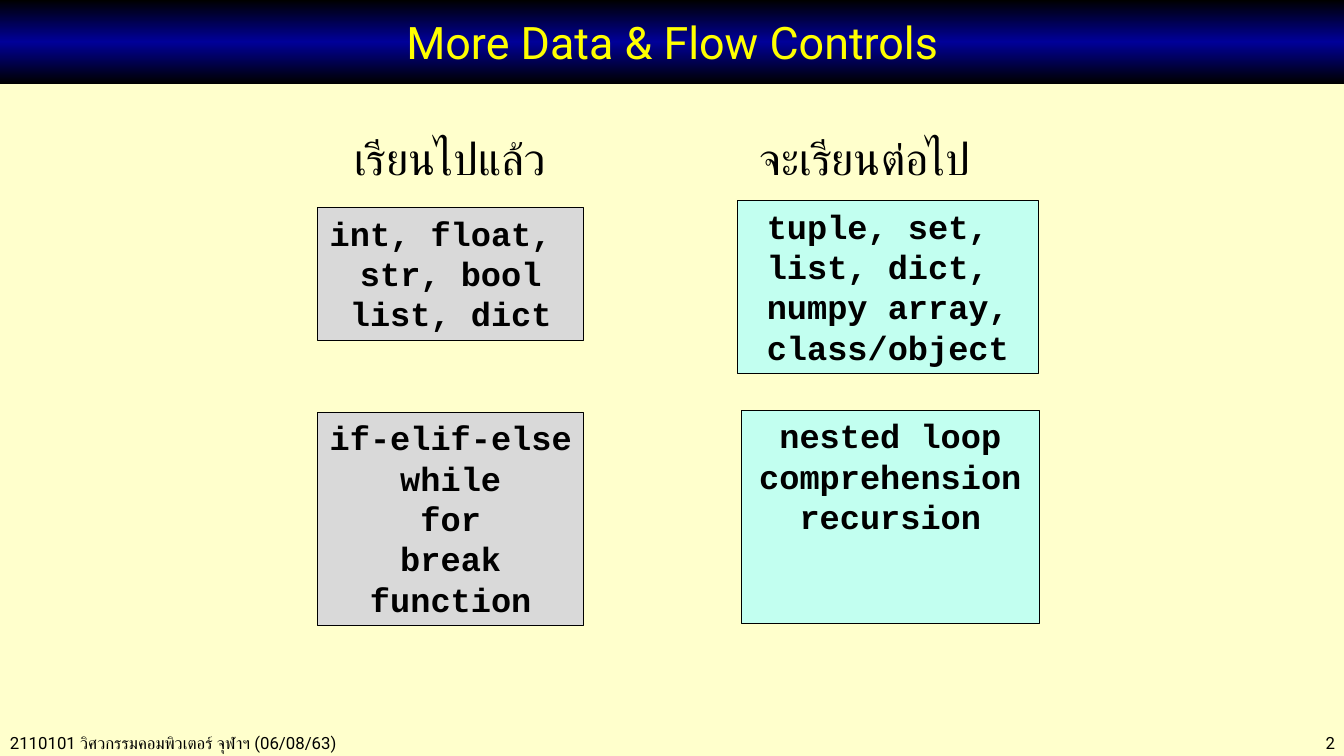
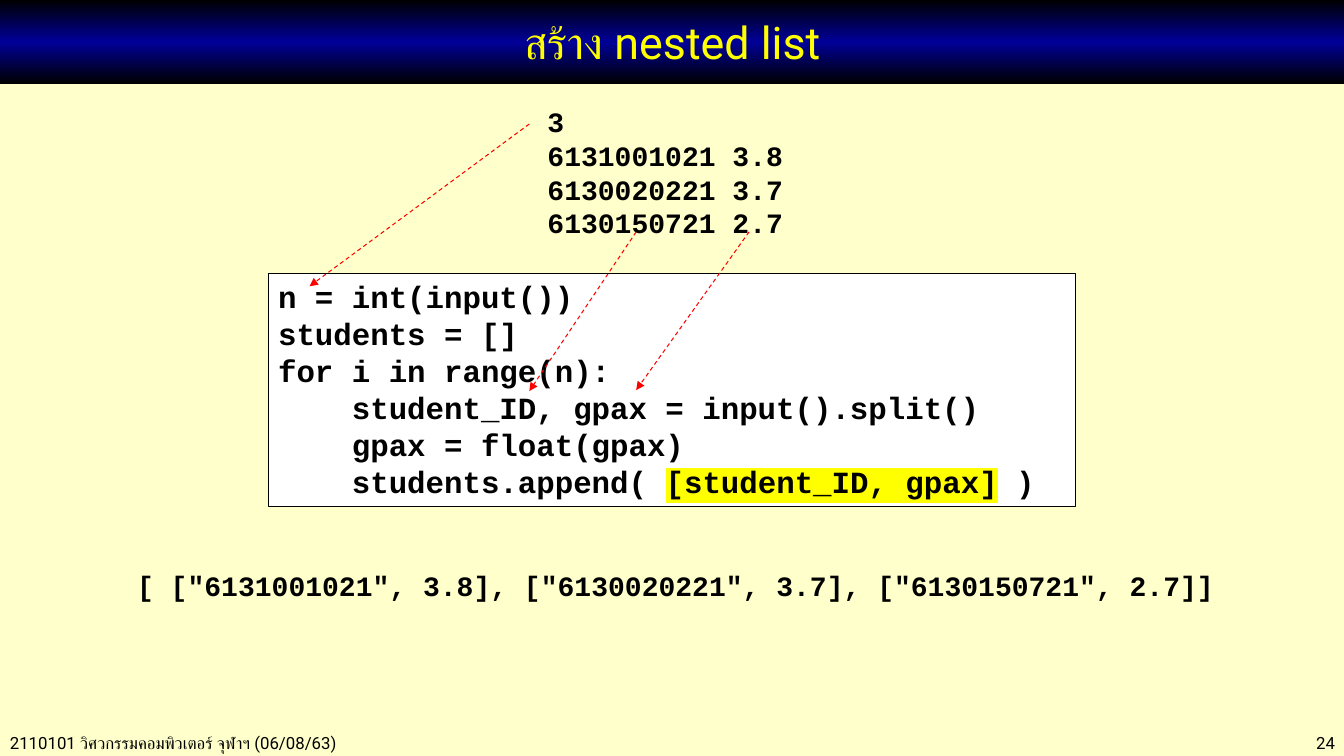
from copy import deepcopy

from lxml import etree
from pptx import Presentation
from pptx import util as u
from pptx.dml import color as dml_color
from pptx.enum import dml, shapes, text
from pptx.oxml import ns

BLACK, WHITE, RED, YELLOW = "000000", "FFFFFF", "FF0000", "FFFF00"
CREAM, NAVY, GRAY, MINT = "FFFFCC", "000099", "D9D9D9", "C2FFF0"
COURSE = "2110101 วิศวกรรมคอมพิวเตอร์ จุฬาฯ (06/08/63)"
TITLE_ONLY = 5
LEFT, CENTER, RIGHT = text.PP_ALIGN.LEFT, text.PP_ALIGN.CENTER, text.PP_ALIGN.RIGHT

TITLE = {"name": "Roboto", "size": u.Pt(32), "bold": False}
FOOTER = {"name": "Roboto", "size": u.Pt(12), "bold": False}
HEADING = {"name": "Courier New", "size": u.Pt(32), "bold": False}
TOPIC = {"name": "Courier New", "size": u.Pt(24), "bold": True}
CODE = {**TOPIC, "size": u.Pt(22)}
DATA = {**TOPIC, "size": u.Pt(20)}


def rgb(value):
    """Turn a hex string into a colour."""
    return dml_color.RGBColor.from_string(value)


def apply_format(target, values):
    """Set every named attribute on the target."""
    for name, value in values.items():
        setattr(target, name, value)


def place(shape, box):
    """Move and size a shape from left, top, width, height in inches."""
    apply_format(shape, dict(zip(("left", "top", "width", "height"), map(u.Inches, box))))


def write(shape, lines, font, align=LEFT, color=BLACK, **frame_format):
    """Fill a shape with one paragraph per line."""
    frame = shape.text_frame
    values = {"word_wrap": True, "auto_size": text.MSO_AUTO_SIZE.NONE,
              "vertical_anchor": text.MSO_ANCHOR.TOP, **frame_format}
    apply_format(frame, values)
    frame.text = "\n".join(lines)
    for paragraph in frame.paragraphs:
        paragraph.alignment = align
        for run in paragraph.runs:
            style_run(run, font, color)


def style_run(run, font, color=BLACK):
    """Give a run its font and colour."""
    apply_format(run.font, font)
    run.font.color.rgb = rgb(color)


def highlight(run, color):
    """Mark a run with a background colour."""
    fill = run.font._element.find(ns.qn("a:solidFill"))
    mark = etree.Element(ns.qn("a:highlight"))
    etree.SubElement(mark, ns.qn("a:srgbClr"), val=color)
    fill.addnext(mark)


def add_text(slide, box, lines, font, align=LEFT, **frame_format):
    """Add a plain text box."""
    shape = slide.shapes.add_textbox(*map(u.Inches, box))
    write(shape, lines, font, align, **frame_format)


def add_panel(slide, box, lines, fill, font, align=LEFT):
    """Add a filled rectangle with a thin black outline."""
    shape = slide.shapes.add_shape(shapes.MSO_SHAPE.RECTANGLE, *map(u.Inches, box))
    shape.shadow.inherit = False
    shape.fill.solid()
    shape.fill.fore_color.rgb = rgb(fill)
    shape.line.color.rgb = rgb(BLACK)
    shape.line.width = u.Pt(0.75)
    write(shape, lines, font, align)
    return shape


def add_arrow(slide, start, end):
    """Add a dashed red arrow."""
    points = map(u.Inches, (*start, *end))
    arrow = slide.shapes.add_connector(shapes.MSO_CONNECTOR.STRAIGHT, *points)
    arrow.line.color.rgb = rgb(RED)
    apply_format(arrow.line, {"width": u.Pt(0.75), "dash_style": dml.MSO_LINE.DASH})
    etree.SubElement(arrow.line._get_or_add_ln(), ns.qn("a:tailEnd"), type="triangle")
    etree.SubElement(arrow._element.spPr, ns.qn("a:effectLst"))


def fill_band(shape):
    """Fill a shape with the vertical black and navy gradient."""
    shape.fill.gradient()
    shape.fill.gradient_angle = 270
    first = shape._element.spPr.find(".//" + ns.qn("a:gs"))
    first.addnext(deepcopy(first))
    stops = zip(shape.fill.gradient_stops, (BLACK, NAVY, BLACK), (0, 0.5, 1))
    for stop, color, position in stops:
        stop.color.rgb = rgb(color)
        stop.position = position


def add_slide(presentation, title, number):
    """Add a slide with its title band and footer."""
    slide = presentation.slides.add_slide(presentation.slide_layouts[TITLE_ONLY])
    band = slide.shapes.title
    place(band, (0, 0, 13.34, 0.83))
    fill_band(band)
    write(band, [title], TITLE, CENTER, YELLOW, vertical_anchor=text.MSO_ANCHOR.MIDDLE)
    add_text(slide, (0, 7.22, 5.2, 0.3), [COURSE], FOOTER)
    add_text(slide, (11.5, 7.22, 1.84, 0.3), [str(number)], FOOTER, RIGHT)
    return slide


def build_topics(presentation):
    """Compare the topics already learnt with those to come."""
    slide = add_slide(presentation, "More Data & Flow Controls", 2)
    headings = [((3.29, 1.25, 2.35, 0.64), "เรียนไปแล้ว"),
                ((7.29, 1.25, 2.58, 0.64), "จะเรียนต่อไป")]
    for box, heading in headings:
        add_text(slide, box, [heading], HEADING, CENTER, word_wrap=False)
    panels = [
        ((3.15, 2.06, 2.64, 1.32), GRAY, ["int, float, \vstr, bool\vlist, dict"]),
        ((7.31, 1.99, 2.99, 1.72), MINT,
         ["tuple, set, \vlist, dict, \vnumpy array,", "class/object"]),
        ((3.15, 4.09, 2.64, 2.12), GRAY,
         ["if-elif-else", "while", "for", "break", "function"]),
        ((7.35, 4.07, 2.96, 2.12), MINT, ["nested loop", "comprehension", "recursion"]),
    ]
    for box, fill, lines in panels:
        add_panel(slide, box, lines, fill, TOPIC, CENTER)


def build_nested_list(presentation):
    """Show how input lines become a nested list."""
    slide = add_slide(presentation, "สร้าง nested list", 24)
    code = ["n = int(input())", "students = []", "for i in range(n):",
            "    student_ID, gpax = input().split()", "    gpax = float(gpax)",
            "    students.append( "]
    panel = add_panel(slide, (2.66, 2.71, 8.01, 2.32), code, WHITE, CODE)
    last_line = panel.text_frame.paragraphs[-1]
    for part, mark in (("[student_ID, gpax]", YELLOW), (" )", None)):
        run = last_line.add_run()
        run.text = part
        style_run(run, CODE)
        if mark:
            highlight(run, mark)
    indent = u.Inches(0.6)
    result = '[ ["6131001021", 3.8], ["6130020221", 3.7], ["6130150721", 2.7]]'
    add_text(slide, (0.76, 5.59, 11.41, 0.44), [result], DATA, margin_left=indent)
    records = ["3", "6131001021 3.8", "6130020221 3.7", "6130150721 2.7"]
    add_text(slide, (4.83, 0.99, 3.68, 1.45), records, DATA, margin_left=indent)
    arrows = [((6.31, 2.3), (5.25, 3.88)), ((7.43, 2.3), (6.31, 3.87)),
              ((5.25, 1.23), (3.07, 2.84))]
    for start, end in arrows:
        add_arrow(slide, start, end)


def main():
    """Build and save the presentation."""
    presentation = Presentation()
    size = {"slide_width": u.Inches(13.33), "slide_height": u.Inches(7.5)}
    apply_format(presentation, size)
    background = presentation.slide_master.background.fill
    background.solid()
    background.fore_color.rgb = rgb(CREAM)
    build_topics(presentation)
    build_nested_list(presentation)
    presentation.save("out.pptx")


if __name__ == "__main__":
    main()
